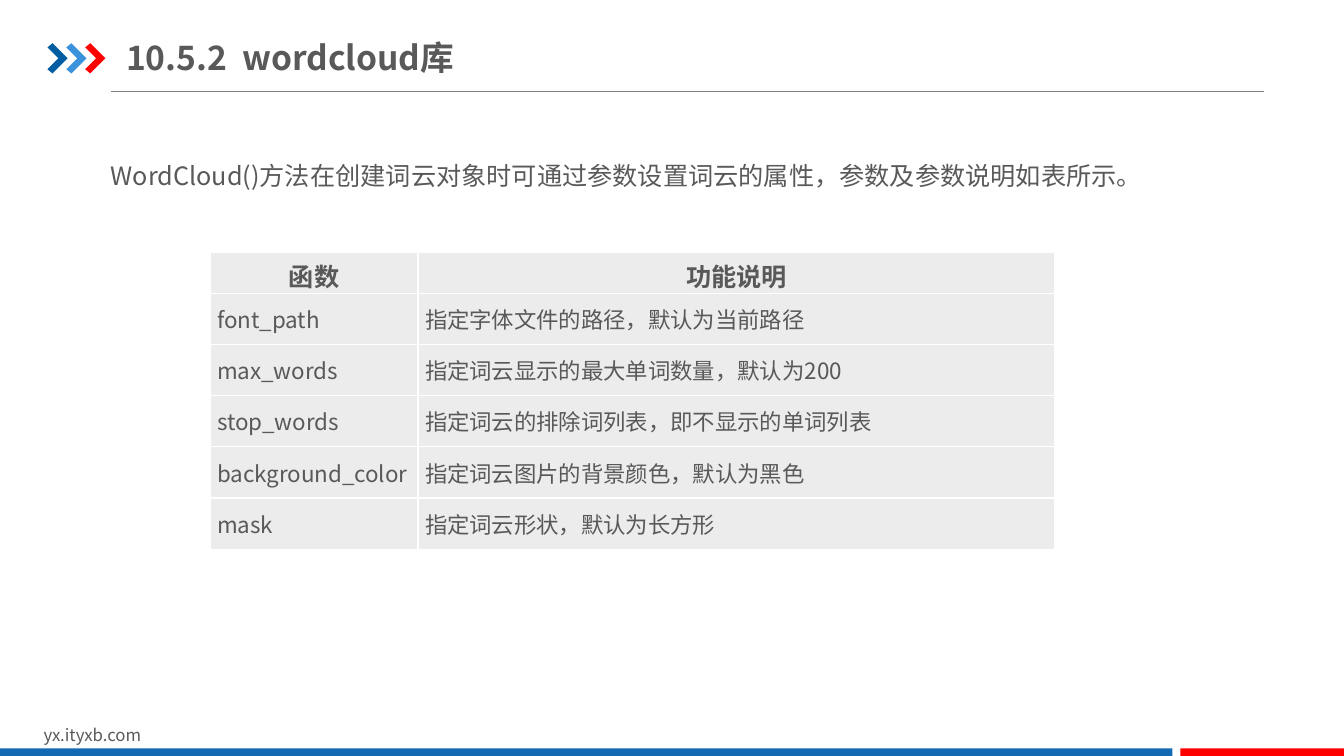
from dataclasses import dataclass

from lxml import etree
from pptx import Presentation
from pptx import util as u
from pptx.dml.color import RGBColor
from pptx.enum import shapes, text
from pptx.oxml.ns import qn


@dataclass(frozen=True)
class Theme:
    font: str = "Noto Sans CJK SC"
    ink: str = "595959"
    rule: str = "808080"
    cell: str = "ECECEC"
    border: str = "FFFFFF"
    bar: str = "1369B2"
    red: str = "FF0000"
    chevrons: tuple = ("005DA2", "3992DB", "FF0000")
    title: int = 24
    body: int = 18
    table: int = 16
    footer: int = 12


theme = Theme()
presentation = Presentation()
presentation.slide_width, presentation.slide_height = u.Inches(13.33), u.Inches(7.5)
slide = presentation.slides.add_slide(presentation.slide_layouts[5])
UNIT = presentation.slide_height / 90  # square grid: 90 rows, about 160 columns


def grid(*cells):
    """Convert grid columns and rows to slide lengths."""
    return [u.Emu(round(cell * UNIT)) for cell in cells]


def add_run(paragraph, words, size, bold=False):
    """Add a run in the theme font, for Latin and Chinese letters alike."""
    run = paragraph.add_run()
    run.text = words
    run.font.size, run.font.bold, run.font.name = u.Pt(size), bold, theme.font
    run.font.color.rgb = RGBColor.from_string(theme.ink)
    etree.SubElement(run.font._element, qn("a:ea"), typeface=theme.font)
    return run


# Heading rule and chevrons
rule = slide.shapes.add_connector(shapes.MSO_CONNECTOR.STRAIGHT, *grid(13.2, 10.9, 150.5, 10.9))
rule.line.color.rgb = RGBColor.from_string(theme.rule)
rule.line.width = u.Pt(0.75)
etree.SubElement(rule._element.spPr, qn("a:effectLst"))

chevron_points = [(0, 0.5), (0.6, 0), (2.4, 1.8), (0.6, 3.6), (0, 3.1), (1.3, 1.8)]
for index, color in enumerate(theme.chevrons):
    left, top = 5.65 + index * 2.25, 5.15
    outline = [grid(left + x, top + y) for x, y in chevron_points]
    builder = slide.shapes.build_freeform(*outline[0])
    builder.add_line_segments(outline[1:], close=True)
    chevron = builder.convert_to_shape()
    chevron.shadow.inherit = False
    chevron.fill.solid()
    chevron.fill.fore_color.rgb = RGBColor.from_string(color)
    chevron.line.fill.background()

# Footer
footer = slide.shapes.add_textbox(*grid(4, 85.7, 38.2, 3.6))
footer.text_frame.word_wrap = True
add_run(footer.text_frame.paragraphs[0], "yx.ityxb.com", theme.footer)

for left, width, color in [(0, 139.55, theme.bar), (140.5, 19.46, theme.red)]:
    bar = slide.shapes.add_shape(shapes.MSO_SHAPE.RECTANGLE, *grid(left, 89.1, width, 1.05))
    bar.shadow.inherit = False
    bar.fill.solid()
    bar.fill.fore_color.rgb = RGBColor.from_string(color)
    bar.line.fill.background()

# Title
title = slide.shapes.title
title.left, title.top, title.width, title.height = grid(15, 3.5, 60.2, 6.6)
frame = title.text_frame
frame.auto_size = text.MSO_AUTO_SIZE.NONE
frame.vertical_anchor = text.MSO_ANCHOR.MIDDLE
frame.margin_left = frame.margin_right = 0
frame.margin_top = frame.margin_bottom = u.Inches(0.07)
heading = frame.paragraphs[0]
heading.alignment = text.PP_ALIGN.LEFT
add_run(heading, "10.5.2", theme.title, True)
gap = add_run(heading, " ", theme.title, True)
gap.font._element.set("spc", "540")  # widens the gap after the section number
add_run(heading, "wordcloud库", theme.title, True)

# Introduction
intro = slide.shapes.add_textbox(*grid(12, 16.7, 130.4, 7.6))
intro.text_frame.word_wrap = True
paragraph = intro.text_frame.paragraphs[0]
paragraph.line_spacing = 1.5
add_run(paragraph, "WordCloud()方法在创建词云对象时可通过参数设置词云的属性，参数及参数说明如表所示。", theme.body)

# Parameter table
parameters = [
    ("函数", "功能说明"),
    ("font_path", "指定字体文件的路径，默认为当前路径"),
    ("max_words", "指定词云显示的最大单词数量，默认为200"),
    ("stop_words", "指定词云的排除词列表，即不显示的单词列表"),
    ("background_color", "指定词云图片的背景颜色，默认为黑色"),
    ("mask", "指定词云形状，默认为长方形"),
]
column_widths = grid(24.75, 75.8)
header_height, row_height = grid(4.9, 6.1)
table = slide.shapes.add_table(
    len(parameters), 2, *grid(25, 30), sum(column_widths),
    header_height + row_height * (len(parameters) - 1),
).table
for column, width in zip(table.columns, column_widths):
    column.width = width

for row_index, entries in enumerate(parameters):
    is_header = row_index == 0
    table.rows[row_index].height = header_height if is_header else row_height
    for column_index, words in enumerate(entries):
        cell = table.cell(row_index, column_index)
        cell.vertical_anchor = text.MSO_ANCHOR.MIDDLE
        paragraph = cell.text_frame.paragraphs[0]
        if is_header:
            paragraph.alignment = text.PP_ALIGN.CENTER
        else:
            cell.margin_left = cell.margin_right = u.Inches(0.07)
            cell.margin_top = cell.margin_bottom = 0
        add_run(paragraph, words, theme.body if is_header else theme.table, is_header)
        properties = cell._tc.get_or_add_tcPr()
        for side in ("a:lnL", "a:lnR", "a:lnT", "a:lnB"):
            border = etree.SubElement(properties, qn(side), w=str(u.Pt(1)))
            fill = etree.SubElement(border, qn("a:solidFill"))
            etree.SubElement(fill, qn("a:srgbClr"), val=theme.border)
        cell.fill.solid()
        cell.fill.fore_color.rgb = RGBColor.from_string(theme.cell)

presentation.save("out.pptx")
